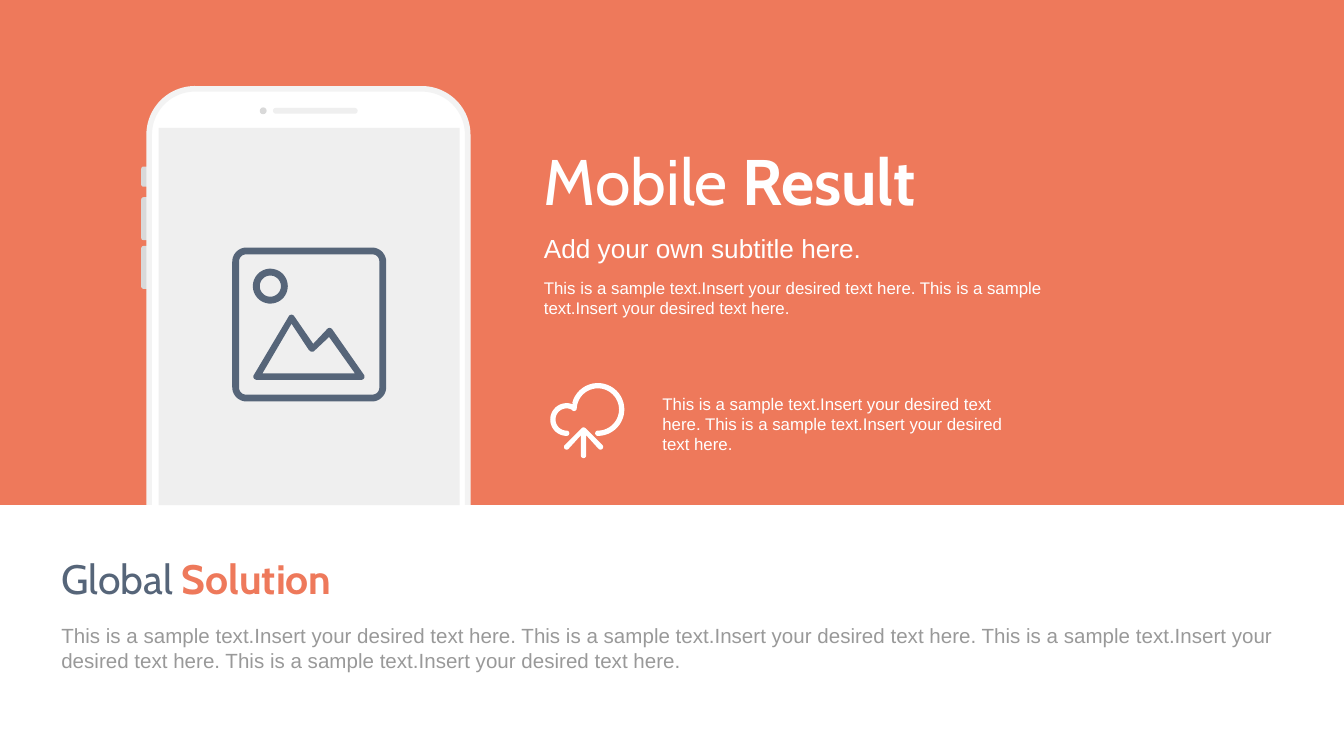
from math import cos, radians, sin

from pptx import Presentation
from pptx.dml.color import RGBColor
from pptx.enum.shapes import MSO_SHAPE
from pptx.enum.text import MSO_ANCHOR, MSO_AUTO_SIZE, PP_ALIGN
from pptx.util import Cm, Pt

RECT, ROUND = MSO_SHAPE.RECTANGLE, MSO_SHAPE.ROUNDED_RECTANGLE
OVAL, ROUND_TOP = MSO_SHAPE.OVAL, MSO_SHAPE.ROUND_2_SAME_RECTANGLE
TOP, MIDDLE = MSO_ANCHOR.TOP, MSO_ANCHOR.MIDDLE
LEFT, NO_FIT = PP_ALIGN.LEFT, MSO_AUTO_SIZE.NONE

CORAL, SLATE, WHITE = "EE795B", "566579", "FFFFFF"
GREY, BUTTON, SCREEN, RIM = "999999", "D9D9D9", "EFEFEF", "F3F3F3"

# Content: runs are (text, colour, bold); boxes are left, top, width, height in cm
SAMPLE = "This is a sample text.Insert your desired text here."
HEADLINE = [("Mobile ", WHITE, False), ("Result", WHITE, True)]
HEADLINE_BOX = (10.03, 2.41, 10.67, 2.16)
TEXTS = [
    ((0.91, 11.53, 23.67, 1.45), [(" ".join([SAMPLE] * 4), GREY, False)], "Arial", 11, TOP),
    ((0.91, 10.46, 23.67, 0.94),
     [("Global ", SLATE, False), ("Solution", CORAL, True)], "Cabin", 22, MIDDLE),
    ((10.03, 5, 10.67, 1.35), [(" ".join([SAMPLE] * 2), WHITE, False)], "Arial", 9, TOP),
    ((10.03, 4.24, 10.67, 0.91),
     [("Add your own subtitle here.", WHITE, False)], "Arial", 14, MIDDLE),
    ((12.27, 7.19, 7.14, 1.55), [(" ".join([SAMPLE] * 2), WHITE, False)], "Arial", 9, TOP),
]
BUTTONS = [(3.15, 0.38), (3.73, 0.81), (4.65, 0.81)]  # top, height
PANEL_TOP = 9.55


def color(hex_code):
    return RGBColor.from_string(hex_code)


def add_block(slide, kind, box, fill, adjustments=(), rim=None):
    block = slide.shapes.add_shape(kind, *map(Cm, box))
    block.shadow.inherit = False
    block.fill.solid()
    block.fill.fore_color.rgb = color(fill)
    for i, value in enumerate(adjustments):
        block.adjustments[i] = value
    if rim:
        block.line.color.rgb = color(rim)
        block.line.width = Pt(3)
    else:
        block.line.fill.background()


def write(shape, runs, font, size, anchor):
    frame = shape.text_frame
    frame.word_wrap = True
    frame.auto_size = NO_FIT
    frame.vertical_anchor = anchor
    frame.margin_left = frame.margin_right = Cm(0.25)
    frame.margin_top = frame.margin_bottom = Cm(0.25)
    paragraph = frame.paragraphs[0]
    paragraph.alignment = LEFT
    for text, hex_code, bold in runs:
        run = paragraph.add_run()
        run.text = text
        run.font.name, run.font.size, run.font.bold = font, Pt(size), bold
        run.font.color.rgb = color(hex_code)


def arc(x, y, radius, start, end):
    """Points along an arc; 0 degrees is right and 90 is down."""
    steps = max(2, round(abs(end - start) / 8))
    angles = [radians(start + (end - start) * i / steps) for i in range(steps + 1)]
    return [(x + radius * cos(a), y + radius * sin(a)) for a in angles]


def rounded_square(left, top, side, radius):
    near, far = radius, side - radius
    corners = [(near, near, 180), (far, near, 270), (far, far, 0), (near, far, 90)]
    return [point for x, y, start in corners
            for point in arc(left + x, top + y, radius, start, start + 90)]


def add_icon(slide, contours, fill):
    outlines = [[(Cm(x), Cm(y)) for x, y in contour] for contour in contours]
    builder = slide.shapes.build_freeform(*outlines[0][0])
    for i, outline in enumerate(outlines):
        if i:
            builder.move_to(*outline[0])
        builder.add_line_segments(outline[1:], close=True)
    icon = builder.convert_to_shape()
    icon.shadow.inherit = False
    icon.fill.solid()
    icon.fill.fore_color.rgb = color(fill)
    icon.line.fill.background()


# Icon outlines
cloud = (arc(11.3, 7.74, 0.5, 195, 450) + arc(11.3, 8.19, 0.05, 90, 270)
         + arc(11.3, 7.74, 0.4, 450, 184) + arc(10.85, 7.72, 0.05, 0, 115)
         + arc(10.71, 7.93, 0.21, 293, 90) + arc(10.71, 8.19, 0.05, -90, 90)
         + arc(10.71, 7.93, 0.31, 90, 293))
arrow = (arc(11.03, 8.13, 0.05, 225, 315) + arc(11.35, 8.45, 0.05, -45, 135)
         + [(11.08, 8.23)] + arc(11.03, 8.61, 0.05, 0, 180)
         + [(10.98, 8.23)] + arc(10.71, 8.45, 0.05, 45, 225))
mountain = (arc(4.85, 7.12, 0.06, 90, 210) + arc(5.51, 6.01, 0.06, 210, 325)
            + [(5.92, 6.5)] + arc(6.23, 6.26, 0.06, 225, 325)
            + arc(6.83, 7.12, 0.06, -35, 90))
mountain_inside = ([(4.96, 7.06), (5.51, 6.12), (5.84, 6.62)]
                   + arc(5.9, 6.59, 0.06, 145, 45) + [(6.22, 6.37), (6.71, 7.06)])
landscape = [rounded_square(4.39, 4.68, 2.91, 0.27),
             rounded_square(4.52, 4.81, 2.65, 0.13),
             arc(5.11, 5.41, 0.33, 0, 360), arc(5.11, 5.41, 0.2, 0, 360),
             mountain, mountain_inside]

# Slide and headline
prs = Presentation()
prs.slide_width, prs.slide_height = Cm(25.4), Cm(14.29)
slide = prs.slides.add_slide(prs.slide_layouts[5])
slide.background.fill.solid()
slide.background.fill.fore_color.rgb = color(CORAL)
headline = slide.shapes.title
headline.left, headline.top, headline.width, headline.height = map(Cm, HEADLINE_BOX)
write(headline, HEADLINE, "Cabin", 34.5, TOP)

# Phone, cut off by the white panel
for top, height in BUTTONS:
    add_block(slide, ROUND, (2.67, top, 0.25, height), BUTTON, [0.167])
add_block(slide, ROUND_TOP, (2.82, 1.68, 6.02, 7.98), WHITE, [0.144, 0], RIM)
add_block(slide, RECT, (0, PANEL_TOP, 25.4, 14.29 - PANEL_TOP), WHITE)
add_block(slide, OVAL, (4.91, 2.03, 0.13, 0.13), BUTTON)
add_block(slide, ROUND, (5.16, 2.04, 1.6, 0.11), SCREEN, [0.5])
add_block(slide, RECT, (3, 2.42, 5.69, PANEL_TOP - 2.42), SCREEN)

# Icons
for contours, fill in [([cloud], WHITE), ([arrow], WHITE), (landscape, SLATE)]:
    add_icon(slide, contours, fill)

# Texts
for box, runs, font, size, anchor in TEXTS:
    write(slide.shapes.add_textbox(*map(Cm, box)), runs, font, size, anchor)

prs.save("out.pptx")
